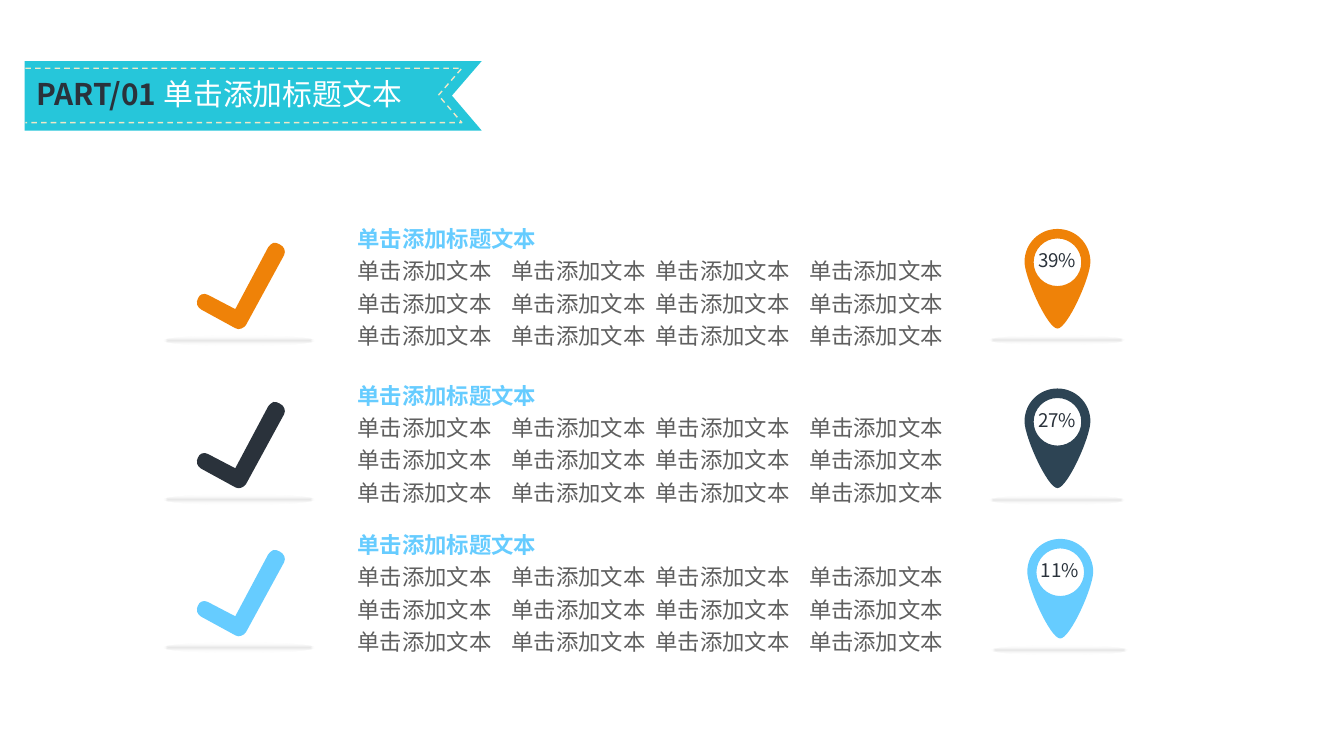
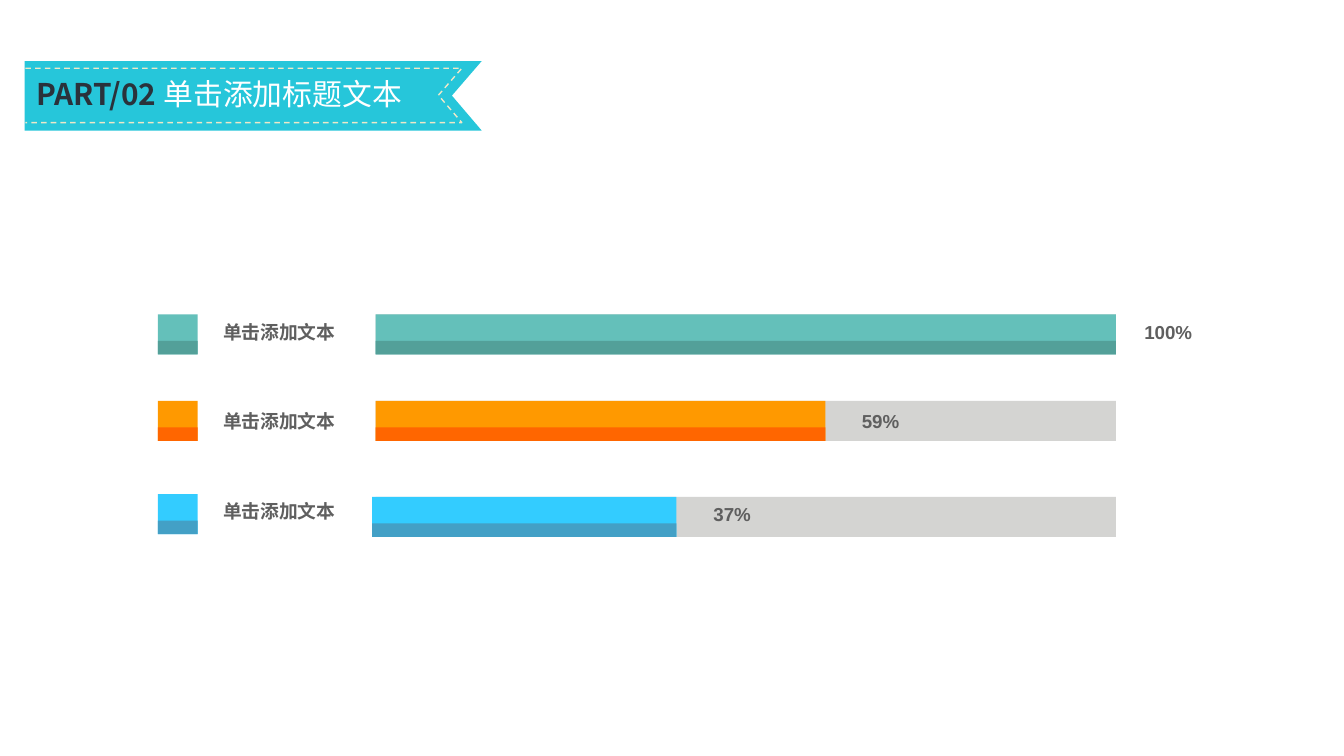
from dataclasses import dataclass

import pptx
import pptx.dml.color
import pptx.enum.dml
import pptx.enum.shapes
import pptx.enum.text
import pptx.oxml
import pptx.oxml.ns
import pptx.util

Cm = pptx.util.Cm
PRESET = pptx.enum.shapes.MSO_SHAPE
ALIGN = pptx.enum.text.PP_ALIGN


@dataclass(frozen=True)
class Theme:
    latin: str = "Arial"
    cjk: str = "Noto Sans CJK SC"
    ribbon: str = "26C6DA"
    stitch: str = "EDE8C8"
    white: str = "FFFFFF"
    ink: str = "2A323B"
    slate: str = "2D4454"
    grey: str = "5F5F5F"
    track: str = "D4D4D2"
    orange: str = "EF8208"
    sky: str = "66CCFF"
    title_size: float = 21.33
    body_size: float = 16
    label_size: float = 13.33


THEME = Theme()


@dataclass(frozen=True)
class CheckRow:
    tick_top: float
    copy_top: float
    tick_colour: str
    pin_colour: str
    share: str
    pin_left: float
    pin_top: float


@dataclass(frozen=True)
class MeterRow:
    swatch_top: float
    bar_left: float
    bar_top: float
    filled: float
    text_drop: float
    share: str
    share_left: float
    share_width: float
    light: str
    dark: str


CHECK_ROWS = (
    CheckRow(6.12, 5.42, THEME.orange, THEME.orange, "39%", 25.82, 5.77),
    CheckRow(10.13, 9.37, THEME.ink, THEME.slate, "27%", 25.82, 9.79),
    CheckRow(13.86, 13.13, THEME.sky, THEME.sky, "11%", 25.89, 13.58),
)
METER_ROWS = (
    MeterRow(7.92, 9.47, 7.92, 18.65, 0.03, "100%", 28.59, 1.73, "64C0BA", "53A099"),
    MeterRow(10.1, 9.47, 10.1, 11.33, 0.09, "59%", 21.47, 1.47, "FF9900", "FF6600"),
    MeterRow(12.45, 9.38, 12.52, 7.67, 0.03, "37%", 17.73, 1.47, "33CCFF", "43A0C6"),
)
COLUMN_STOPS = (3.88, 7.51, 11.38)

# Outlines in cm: a pair of numbers is a corner, three pairs are a Bézier curve.
TICK = (
    (2.09, 0.04),
    ((2.04, 0), (1.98, 0), (1.93, 0)),
    ((1.88, 0.03), (1.83, 0.06), (1.8, 0.11)),
    (0.97, 1.67),
    (0.28, 1.31),
    ((0.23, 1.28), (0.17, 1.28), (0.12, 1.3)),
    ((0.08, 1.32), (0.05, 1.35), (0.03, 1.4)),
    ((0, 1.45), (0, 1.5), (0.01, 1.56)),
    ((0.03, 1.61), (0.06, 1.65), (0.11, 1.68)),
    (0.97, 2.15),
    ((1.02, 2.18), (1.07, 2.18), (1.12, 2.16)),
    ((1.17, 2.14), (1.22, 2.11), (1.24, 2.07)),
    (2.2, 0.31),
    ((2.25, 0.21), (2.2, 0.09), (2.09, 0.04)),
)
PIN = (
    (0.83, 0),
    ((0.37, 0), (0, 0.37), (0, 0.83)),
    ((0, 1.22), (0.58, 2.51), (0.83, 2.51)),
    ((1.08, 2.51), (1.66, 1.22), (1.66, 0.83)),
    ((1.66, 0.37), (1.29, 0), (0.83, 0)),
)
PIN_HOLE = (
    (0.83, 0.24),
    ((1.16, 0.24), (1.43, 0.51), (1.43, 0.84)),
    ((1.43, 1.17), (1.16, 1.44), (0.83, 1.44)),
    ((0.5, 1.44), (0.23, 1.17), (0.23, 0.84)),
    ((0.23, 0.51), (0.5, 0.24), (0.83, 0.24)),
)
RIBBON = ((11.52, 1.75), (0, 1.75), (0, 0), (11.52, 0), (10.77, 0.87))
STITCH = ((0.02, 0.18), (11.02, 0.18), (10.43, 0.86), (11.02, 1.55), (0.02, 1.55))


def rgb(colour):
    return pptx.dml.color.RGBColor.from_string(colour)


def is_curve(part):
    return isinstance(part[0], tuple)


def paint(shape, colour):
    shape.shadow.inherit = False
    shape.fill.solid()
    shape.fill.fore_color.rgb = rgb(colour)
    shape.line.fill.background()


def add_outline(slide, left, top, *contours, close=True):
    """Draw the contours as one shape; a later contour cuts a hole."""
    def place(point):
        return Cm(left + point[0]), Cm(top + point[1])

    builder = slide.shapes.build_freeform(*place(contours[0][0]), scale=1.0)
    for index, contour in enumerate(contours):
        if index:
            builder.move_to(*place(contour[0]))
        ends = [place(part[-1] if is_curve(part) else part) for part in contour[1:]]
        builder.add_line_segments(ends, close=close)
    outline = builder.convert_to_shape()

    parts = [part for contour in contours for part in contour[1:]]
    segments = list(outline._element.iter(pptx.oxml.ns.qn("a:lnTo")))
    for part, segment in zip(parts, segments):
        if is_curve(part):
            knots = "".join(
                f'<a:pt x="{x - outline.left}" y="{y - outline.top}"/>'
                for x, y in map(place, part))
            curve = pptx.oxml.parse_xml(
                f'<a:cubicBezTo {pptx.oxml.ns.nsdecls("a")}>{knots}</a:cubicBezTo>')
            segment.getparent().replace(segment, curve)
    return outline


def add_block(slide, left, top, width, height, colour):
    block = slide.shapes.add_shape(
        PRESET.RECTANGLE, Cm(left), Cm(top), Cm(width), Cm(height))
    paint(block, colour)


def add_ground_shadow(slide, left, top, width, height):
    shadow = slide.shapes.add_shape(
        PRESET.OVAL, Cm(left), Cm(top), Cm(width), Cm(height))
    shadow.shadow.inherit = False
    shadow.line.fill.background()
    shadow.fill.background()
    properties = shadow._element.spPr
    fade = pptx.oxml.parse_xml(
        f'<a:gradFill {pptx.oxml.ns.nsdecls("a")} rotWithShape="1"><a:gsLst>'
        '<a:gs pos="0"><a:srgbClr val="000000"><a:alpha val="10000"/></a:srgbClr></a:gs>'
        '<a:gs pos="100000"><a:srgbClr val="FFFFFF"><a:alpha val="0"/></a:srgbClr></a:gs>'
        '</a:gsLst><a:path path="shape">'
        '<a:fillToRect l="50000" t="50000" r="50000" b="50000"/></a:path></a:gradFill>')
    properties.replace(properties.find(pptx.oxml.ns.qn("a:noFill")), fade)


def style_run(run, size, colour, bold=False, font=THEME.latin):
    run.font.size = pptx.util.Pt(size)
    run.font.bold = bold
    run.font.name = font
    run.font.color.rgb = rgb(colour)
    east_asian = pptx.oxml.parse_xml(
        f'<a:ea {pptx.oxml.ns.nsdecls("a")} typeface="{THEME.cjk}"/>')
    run.font._element.append(east_asian)


def fit_frame(frame, wrap=False):
    frame.word_wrap = wrap
    frame.auto_size = pptx.enum.text.MSO_AUTO_SIZE.SHAPE_TO_FIT_TEXT
    frame.vertical_anchor = pptx.enum.text.MSO_ANCHOR.TOP


def add_label(slide, left, top, width, text, colour=THEME.grey, bold=True,
              font=THEME.latin, align=ALIGN.LEFT):
    label = slide.shapes.add_textbox(Cm(left), Cm(top), Cm(width), Cm(0.84))
    fit_frame(label.text_frame)
    label.text_frame.text = text
    paragraph = label.text_frame.paragraphs[0]
    paragraph.alignment = align
    style_run(paragraph.runs[0], THEME.label_size, colour, bold, font)


def add_title_ribbon(slide, part, heading, left=0.62, top=1.54):
    paint(add_outline(slide, left, top, RIBBON), THEME.ribbon)
    stitch = add_outline(slide, left, top, STITCH, close=False)
    stitch.shadow.inherit = False
    stitch.fill.background()
    stitch.line.color.rgb = rgb(THEME.stitch)
    stitch.line.width = pptx.util.Pt(1)
    stitch.line.dash_style = pptx.enum.dml.MSO_LINE.DASH

    title = slide.shapes.title
    title.left, title.top = Cm(left + 0.04), Cm(top + 0.24)
    title.width, title.height = Cm(10.13), Cm(1.17)
    fit_frame(title.text_frame)
    paragraph = title.text_frame.paragraphs[0]
    paragraph.text = part + " "
    paragraph.alignment = ALIGN.LEFT
    paragraph.add_run().text = heading
    part_run, heading_run = paragraph.runs
    style_run(part_run, THEME.title_size, THEME.ink, True, THEME.cjk)
    style_run(heading_run, THEME.title_size, THEME.white)
    title._element.getparent().append(title._element)  # in front of the ribbon


def add_tick(slide, left, top, colour):
    paint(add_outline(slide, left, top, TICK), colour)
    add_ground_shadow(slide, left - 0.84, top + 2.34, 3.81, 0.25)


def add_pin(slide, left, top, colour, share):
    add_label(slide, left + 0.07, top + 0.38, 1.5, share, THEME.ink, False,
              THEME.cjk, ALIGN.CENTER)
    paint(add_outline(slide, left, top, PIN, PIN_HOLE), colour)
    add_ground_shadow(slide, left - 0.89, top + 2.69, 3.4, 0.23)


def add_column_stops(paragraph):
    stops = "".join(f'<a:tab pos="{Cm(stop)}" algn="l"/>' for stop in COLUMN_STOPS)
    paragraph._p.get_or_add_pPr().append(pptx.oxml.parse_xml(
        f'<a:tabLst {pptx.oxml.ns.nsdecls("a")}>{stops}</a:tabLst>'))


def add_copy(slide, left, top):
    """Write a heading and three lines in four columns."""
    block = slide.shapes.add_textbox(Cm(left), Cm(top), Cm(15.8), Cm(3.53))
    frame = block.text_frame
    fit_frame(frame, wrap=True)
    line = "\t".join(["单击添加文本"] * 4)
    frame.text = "\n".join(["单击添加标题文本"] + [line] * 3)
    for index, paragraph in enumerate(frame.paragraphs):
        is_heading = index == 0
        if not is_heading:
            add_column_stops(paragraph)
        paragraph.line_spacing = 1.2
        style_run(paragraph.runs[0], THEME.body_size,
                  THEME.sky if is_heading else THEME.grey, is_heading)


def add_two_tone(slide, left, top, width, light, dark):
    add_block(slide, left, top, width, 1.01, light)
    add_block(slide, left, top + 0.67, width, 0.34, dark)


def add_meter(slide, row):
    add_two_tone(slide, 3.98, row.swatch_top, 1, row.light, row.dark)
    add_label(slide, 5.38, row.swatch_top + row.text_drop, 3.38, "单击添加文本")
    add_block(slide, 9.47, row.bar_top, 18.65, 1.01, THEME.track)
    add_two_tone(slide, row.bar_left, row.bar_top, row.filled, row.light, row.dark)
    add_label(slide, row.share_left, row.bar_top + row.text_drop, row.share_width, row.share)


def build_check_slide(slide):
    add_title_ribbon(slide, "PART/01", "单击添加标题文本")
    for row in CHECK_ROWS:
        add_tick(slide, 4.96, row.tick_top, row.tick_colour)
        add_copy(slide, 8.76, row.copy_top)
        add_pin(slide, row.pin_left, row.pin_top, row.pin_colour, row.share)


def build_meter_slide(slide):
    add_title_ribbon(slide, "PART/02", "单击添加标题文本")
    for row in METER_ROWS:
        add_meter(slide, row)


def main():
    deck = pptx.Presentation()
    deck.slide_width, deck.slide_height = Cm(33.87), Cm(19.05)
    title_only = deck.slide_layouts[5]
    for build in (build_check_slide, build_meter_slide):
        build(deck.slides.add_slide(title_only))
    deck.save("out.pptx")


if __name__ == "__main__":
    main()
